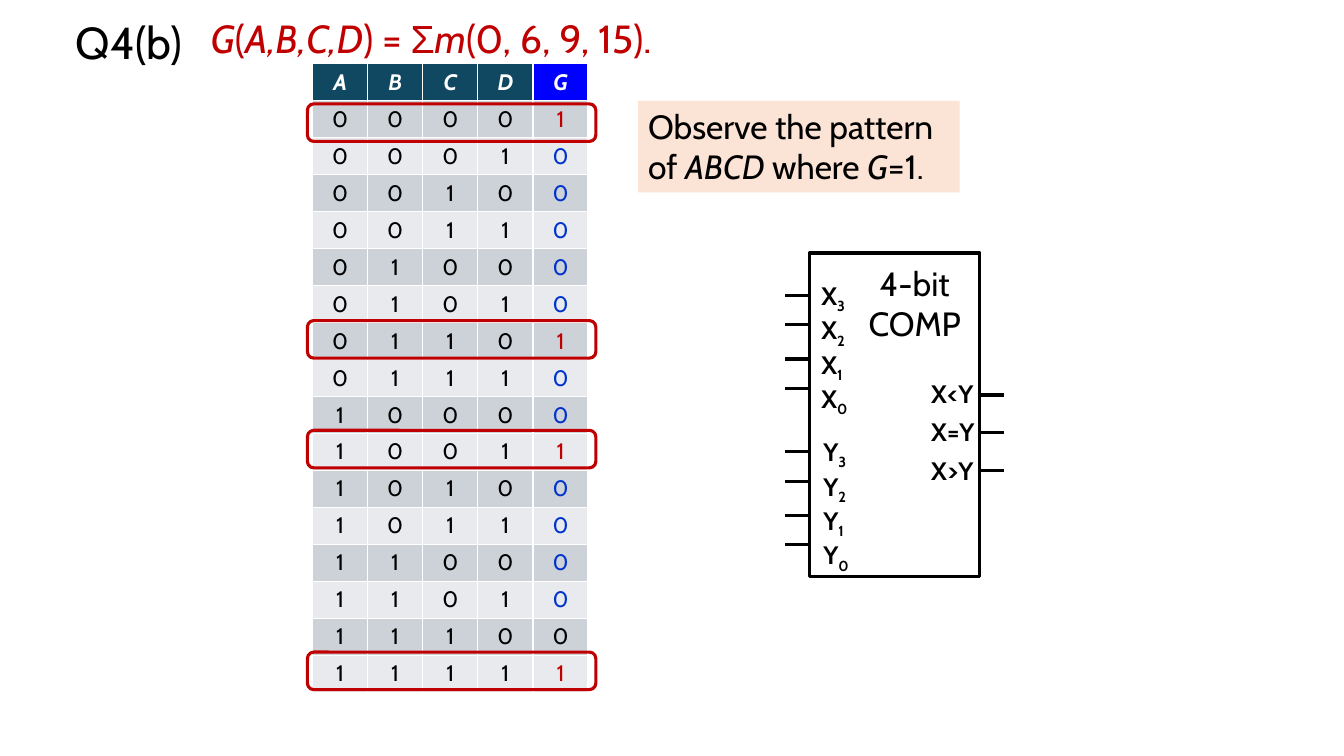
import dataclasses

import pptx
import pptx.dml.color
import pptx.enum.shapes
import pptx.enum.text
import pptx.oxml
import pptx.util

Pt = pptx.util.Pt
SHAPE = pptx.enum.shapes.MSO_SHAPE
ALIGN = pptx.enum.text.PP_ALIGN


@dataclasses.dataclass(frozen=True)
class Theme:
    font: str = "Cabin"
    symbol_font: str = "Arial"
    black: str = "000000"
    white: str = "FFFFFF"
    red: str = "C00000"
    blue: str = "0033CC"
    header: str = "104862"
    output_header: str = "0000FF"
    bands: tuple = ("CCD2D8", "E8EAED")
    note: str = "FBE3D6"
    title: int = 32
    formula: int = 28
    body: int = 24
    label: int = 18
    cell: int = 16
    line: float = 2.25


theme = Theme()
rgb = pptx.dml.color.RGBColor.from_string


def write_line(para, spans, size, color=theme.black, bold=False, align=ALIGN.LEFT):
    """Fill a paragraph with (text, style) spans; style is plain, italic, sub or symbol."""
    para.alignment = align
    para.font.name = theme.font
    para.font.size = Pt(size)
    para.font.bold = bold
    para.font.color.rgb = rgb(color)
    for text, style in spans:
        span = para.add_run()
        span.text = text
        if style == "italic":
            span.font.italic = True
        elif style == "symbol":
            span.font.name = theme.symbol_font
        elif style == "sub":
            span._r.get_or_add_rPr().set("baseline", "-25000")


def add_text(shapes, left, top, width, height, lines, size, space_after=0, **style):
    box = shapes.add_textbox(Pt(left), Pt(top), Pt(width), Pt(height))
    frame = box.text_frame
    frame.word_wrap = True
    for index, spans in enumerate(lines):
        para = frame.add_paragraph() if index else frame.paragraphs[0]
        para.space_after = Pt(space_after)
        write_line(para, spans, size, **style)
    return box


deck = pptx.Presentation()
deck.slide_width, deck.slide_height = Pt(960), Pt(540)
page = deck.slides.add_slide(deck.slide_layouts[5])

# Title and formula
title = page.shapes.title
title.left, title.top, title.width, title.height = Pt(46.8), Pt(7.2), Pt(95.8), Pt(50.4)
title.text_frame.auto_size = pptx.enum.text.MSO_AUTO_SIZE.NONE
title.text_frame.vertical_anchor = pptx.enum.text.MSO_ANCHOR.MIDDLE
title_line = title.text_frame.paragraphs[0]
title_line.line_spacing = 0.9
write_line(title_line, [("Q4(b)", "plain")], theme.title)

formula = [("G", "italic"), ("(", "plain"), ("A,B,C,D", "italic"), (") = ", "plain"),
           ("Σ", "symbol"), ("m", "italic"), ("(0, 6, 9, 15).", "plain")]
add_text(page.shapes, 143.3, 6.5, 345, 41, [formula], theme.formula, color=theme.red)

# Comparator block
block = page.shapes.add_group_shape().shapes
body = block.add_shape(SHAPE.RECTANGLE, Pt(578.2), Pt(180.7), Pt(121.7), Pt(231.1))
body.shadow.inherit = False
body.fill.background()
body.line.color.rgb = rgb(theme.black)
body.line.width = Pt(theme.line)

for name, left, top, height in (("X", 579.6, 196.6, 108.7), ("Y", 581, 308.2, 94.3)):
    inputs = [[(name, "plain"), (str(bit), "sub")] for bit in (3, 2, 1, 0)]
    add_text(block, left, top, 41, height, inputs, theme.label, bold=True)
add_text(block, 598.3, 184.3, 110.2, 65.5, [[("4-bit", "plain")], [("COMP", "plain")]],
         theme.body, align=ALIGN.CENTER)
outputs = [[(text, "plain")] for text in ("X<Y", "X=Y", "X>Y")]
add_text(block, 658.1, 266.4, 49.7, 85, outputs, theme.label, space_after=6, bold=True)

input_pins = [(560.9, first + step) for first in (211, 322.8) for step in (0, 21, 45.4, 66.4)]
output_pins = [(699.3, 282.2 + 27 * row) for row in range(3)]
for left, y in input_pins + output_pins:
    pin = block.add_connector(pptx.enum.shapes.MSO_CONNECTOR.STRAIGHT,
                              Pt(left), Pt(y), Pt(left + 17.5), Pt(y))
    pin.line.color.rgb = rgb(theme.black)
    pin.line.width = Pt(theme.line)
    pin._element.spPr.append(pptx.oxml.parse_xml(
        '<a:effectLst xmlns:a="http://schemas.openxmlformats.org/drawingml/2006/main"/>'))

# Truth table; each minterm maps to the top of its highlight frame
highlight_tops = {0: 74.2, 6: 229, 9: 307.4, 15: 465.8}
row_height, column_width = 26.4, 39.4
table = page.shapes.add_table(17, 5, Pt(223.2), Pt(45.4),
                              Pt(5 * column_width), Pt(17 * row_height)).table
for row in table.rows:
    row.height = Pt(row_height)
for column in table.columns:
    column.width = Pt(column_width)

rows = ["ABCDG"]
rows += [f"{minterm:04b}{int(minterm in highlight_tops)}" for minterm in range(16)]
for r, values in enumerate(rows):
    for c, value in enumerate(values):
        is_header, is_output = r == 0, c == 4
        fill, color = theme.bands[(r - 1) % 2], theme.black
        if is_header:
            fill, color = theme.output_header if is_output else theme.header, theme.white
        elif is_output and value == "1":
            color = theme.red
        elif is_output and r != 15:
            color = theme.blue
        cell = table.cell(r, c)
        cell.fill.solid()
        cell.fill.fore_color.rgb = rgb(fill)
        write_line(cell.text_frame.paragraphs[0], [(value, "italic" if is_header else "plain")],
                   theme.cell, color, is_header, ALIGN.CENTER)

for top in highlight_tops.values():
    frame = page.shapes.add_shape(SHAPE.ROUNDED_RECTANGLE, Pt(219.6), Pt(top), Pt(206), Pt(26.8))
    frame.shadow.inherit = False
    frame.fill.background()
    frame.line.color.rgb = rgb(theme.red)
    frame.line.width = Pt(theme.line)

# Hint
hint = [("Observe the pattern of ", "plain"), ("ABCD", "italic"), (" where ", "plain"),
        ("G", "italic"), ("=1.", "plain")]
note = add_text(page.shapes, 455.8, 72, 229.7, 65.5, [hint], theme.body)
note.fill.solid()
note.fill.fore_color.rgb = rgb(theme.note)

deck.save("out.pptx")
